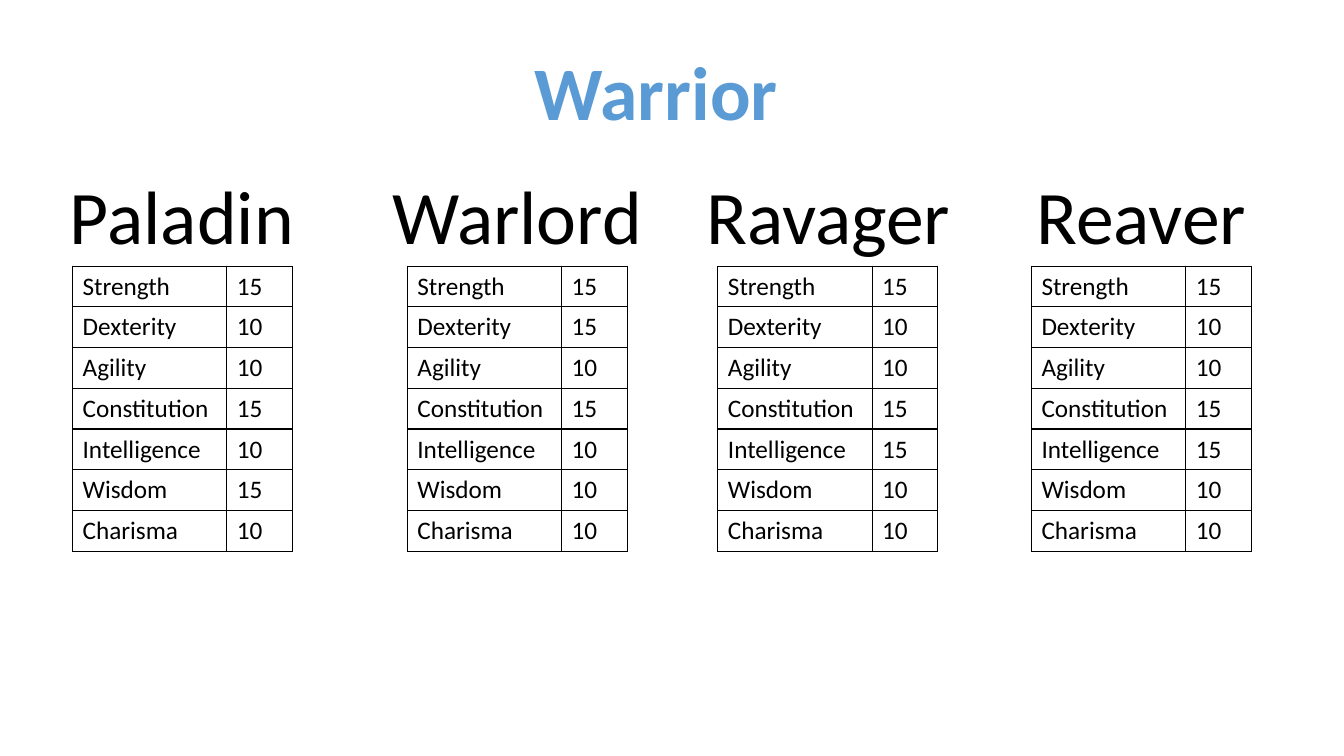
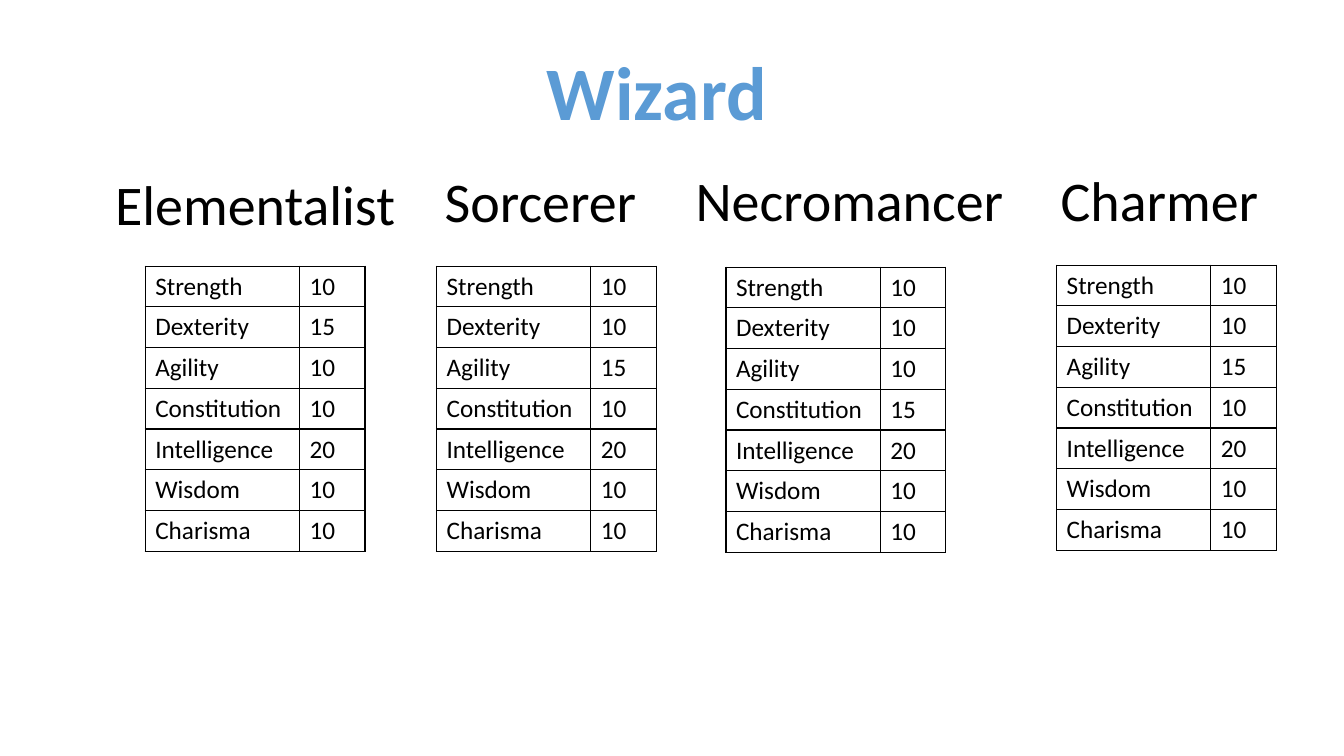
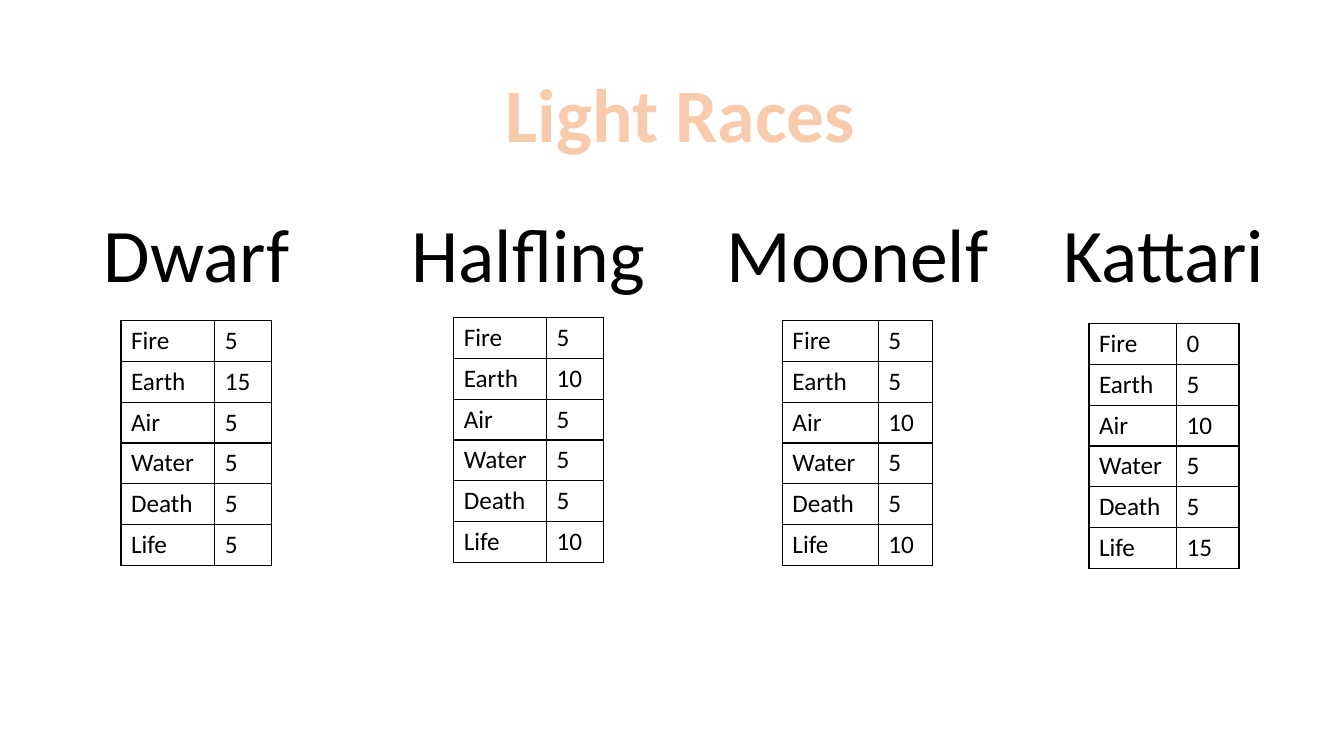
from dataclasses import dataclass

from lxml.etree import SubElement
from pptx import Presentation
from pptx.dml.color import RGBColor
from pptx.enum.text import MSO_AUTO_SIZE as AutoSize, PP_ALIGN as Align
from pptx.oxml.ns import qn
from pptx.util import Inches, Pt

FONT = "Calibri"
BLACK = "000000"
BLUE = "5B9BD5"
PEACH = "F8CBAD"
ORANGE = "ED7D31"
HEADING_HEIGHTS = {54: 1.01, 40: 0.77}
BORDER_TAGS = ("a:lnL", "a:lnR", "a:lnT", "a:lnB")
ABILITIES = ("Strength", "Dexterity", "Agility", "Constitution",
             "Intelligence", "Wisdom", "Charisma")
ELEMENTS = ("Fire", "Earth", "Air", "Water", "Death", "Life")


@dataclass
class TableSize:
    width: float
    height: float
    label_width: float = 0


@dataclass
class Entry:
    name: str
    heading: tuple
    table: tuple
    scores: tuple
    label_width: float = 1.53


ABILITY_SIZE = TableSize(2.18, 2.83)
ELEMENT_SIZE = TableSize(1.49, 2.43)

WARRIORS = (
    Entry("Paladin", (0.58, 1.63, 2.45), (0.72, 2.64), (15, 10, 10, 15, 10, 15, 10)),
    Entry("Warlord", (3.78, 1.63, 2.7), (4.04, 2.64), (15, 15, 10, 15, 10, 10, 10)),
    Entry("Ravager", (6.89, 1.63, 2.65), (7.12, 2.64), (15, 10, 10, 15, 15, 10, 10)),
    Entry("Reaver", (10.17, 1.63, 2.3), (10.23, 2.64), (15, 10, 10, 15, 15, 10, 10)),
)
WIZARDS = (
    Entry("Elementalist", (1.03, 1.63, 3), (1.44, 2.64), (10, 15, 10, 10, 20, 10, 10)),
    Entry("Sorcerer", (4.3, 1.6, 2.12), (4.33, 2.64), (10, 10, 15, 10, 20, 10, 10)),
    Entry("Necromancer", (6.78, 1.59, 3.29), (7.2, 2.65), (10, 10, 10, 15, 20, 10, 10)),
    Entry("Charmer", (10.41, 1.59, 2.18), (10.48, 2.63), (10, 10, 15, 10, 20, 10, 10)),
)
LIGHT_RACES = (
    Entry("Dwarf", (0.92, 2, 2.06), (1.2, 3.18), (5, 15, 5, 5, 5, 5), 0.93),
    Entry("Halfling", (3.97, 2, 2.54), (4.5, 3.15), (5, 10, 5, 5, 5, 10), 0.92),
    Entry("Moonelf", (7.09, 2, 2.83), (7.76, 3.18), (5, 5, 10, 5, 5, 10), 0.95),
    Entry("Kattari", (10.43, 2, 2.23), (10.8, 3.21), (0, 5, 10, 5, 5, 15), 0.87),
)


def color(value):
    return RGBColor.from_string(value)


def set_font(para, size, fill=BLACK, bold=False):
    font = para.font
    font.name = FONT
    font.size = Pt(size)
    font.bold = bold
    font.color.rgb = color(fill)


def add_line(parent, tag, points, fill, index):
    line = SubElement(parent, qn(tag), w=str(Pt(points)))
    solid = SubElement(line, qn("a:solidFill"))
    SubElement(solid, qn("a:srgbClr"), val=fill)
    parent.insert(index, line)


def add_heading(page, text, place, size=54, fill=BLACK, bold=False, outline=None):
    left, top, width = place
    box = page.shapes.add_textbox(Inches(left), Inches(top), Inches(width),
                                  Inches(HEADING_HEIGHTS[size]))
    frame = box.text_frame
    frame.word_wrap = False
    frame.auto_size = AutoSize.SHAPE_TO_FIT_TEXT
    para = frame.paragraphs[0]
    para.alignment = Align.CENTER
    set_font(para, size, fill, bold)
    span = para.add_run()
    span.text = text
    if outline:
        add_line(span._r.get_or_add_rPr(), "a:ln", 1.75, outline, 0)


def fill_cell(cell, text):
    cell.text = text
    set_font(cell.text_frame.paragraphs[0], 18)
    properties = cell._tc.get_or_add_tcPr()
    for index, tag in enumerate(BORDER_TAGS):
        add_line(properties, tag, 1, BLACK, index)
    cell.fill.background()


def add_score_table(page, labels, entry, size):
    left, top = entry.table
    frame = page.shapes.add_table(len(labels), 2, Inches(left), Inches(top),
                                  Inches(size.width), Inches(size.height))
    table = frame.table
    table.first_row = False
    table.horz_banding = False
    table.columns[0].width = Inches(entry.label_width)
    table.columns[1].width = Inches(size.width - entry.label_width)
    for row, label, score in zip(table.rows, labels, entry.scores):
        fill_cell(row.cells[0], label)
        fill_cell(row.cells[1], str(score))


def add_page(deck, title, place, labels, entries, size, heading_size=54,
             fill=BLUE, outline=None):
    page = deck.slides.add_slide(deck.slide_layouts[6])
    add_heading(page, title, place, fill=fill, bold=True, outline=outline)
    for entry in entries:
        add_heading(page, entry.name, entry.heading, heading_size)
        add_score_table(page, labels, entry, size)


def main():
    deck = Presentation()
    deck.slide_width = Inches(13.33)
    deck.slide_height = Inches(7.5)
    add_page(deck, "Warrior", (5.19, 0.4, 2.64), ABILITIES, WARRIORS, ABILITY_SIZE)
    add_page(deck, "Wizard", (5.31, 0.4, 2.41), ABILITIES, WIZARDS, ABILITY_SIZE,
             heading_size=40)
    add_page(deck, "Light Races", (4.9, 0.61, 3.7), ELEMENTS, LIGHT_RACES,
             ELEMENT_SIZE, fill=PEACH, outline=ORANGE)
    deck.save("out.pptx")


if __name__ == "__main__":
    main()
